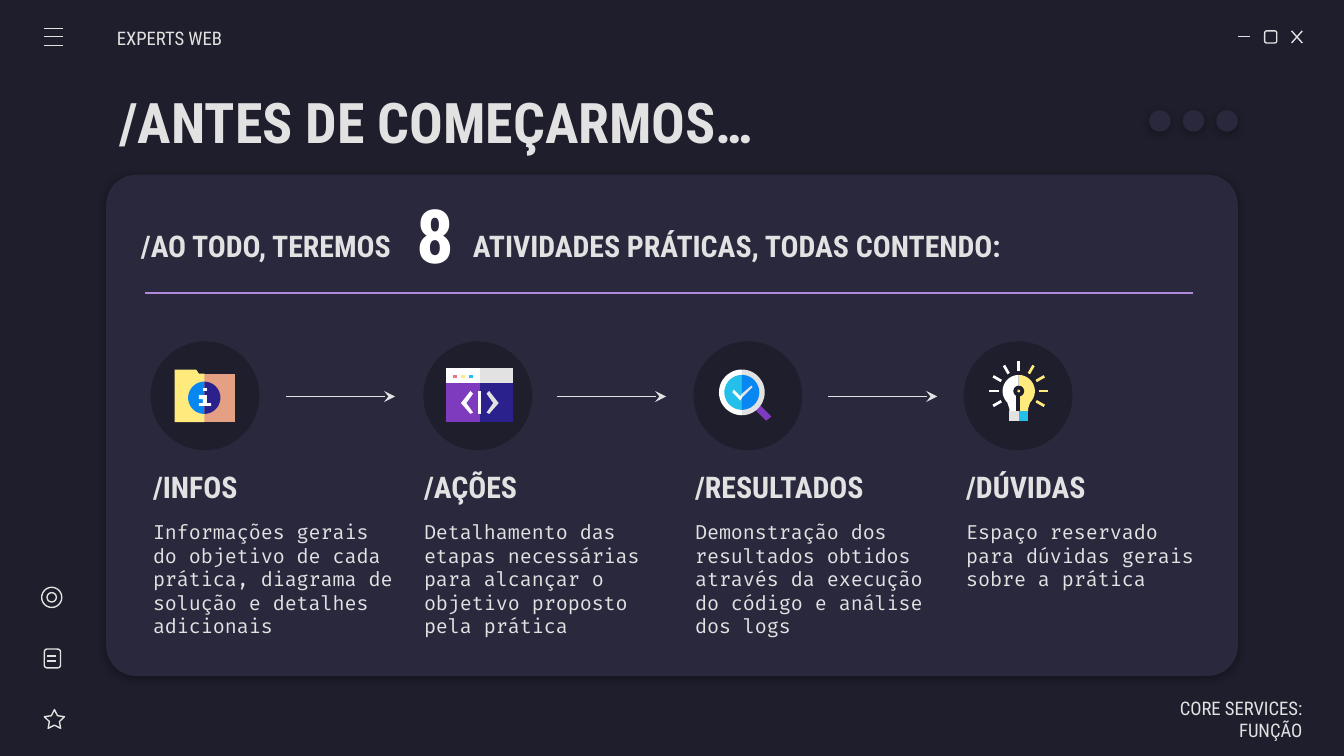
import math

import pptx
import pptx.dml.color
import pptx.enum.shapes
import pptx.enum.text
import pptx.oxml.ns
import pptx.util
from lxml import etree

Inches, Pt = pptx.util.Inches, pptx.util.Pt
RGBColor = pptx.dml.color.RGBColor
SHAPE = pptx.enum.shapes.MSO_SHAPE
ALIGN = pptx.enum.text.PP_ALIGN
ANCHOR = pptx.enum.text.MSO_ANCHOR
qn = pptx.oxml.ns.qn

NIGHT = RGBColor(0x1E, 0x1E, 0x2C)
PANEL = RGBColor(0x29, 0x28, 0x3D)
LIGHT = RGBColor(0xE2, 0xE2, 0xE2)
WHITE = RGBColor(0xFF, 0xFF, 0xFF)
LILAC = RGBColor(0xB2, 0x88, 0xDA)
PURPLE = RGBColor(0x7E, 0x3B, 0xBE)
INDIGO = RGBColor(0x2B, 0x21, 0x8D)
BLUE = RGBColor(0x08, 0x87, 0xF2)
CYAN = RGBColor(0x24, 0xBF, 0xEB)
YELLOW = RGBColor(0xFF, 0xEA, 0x7D)
PEACH = RGBColor(0xE5, 0xA0, 0x83)
PINK = RGBColor(0xE0, 0x7A, 0x88)

HEADING_FONT, BODY_FONT = "Roboto Condensed", "Fira Code"


# Outline helpers for the icons, in inches
def box(left, top, right, bottom):
    return [(left, top), (right, top), (right, bottom), (left, bottom)]


def arc(cx, cy, radius, start, end, steps=24):
    angles = [math.radians(start + (end - start) * i / steps) for i in range(steps + 1)]
    return [(cx + radius * math.cos(a), cy - radius * math.sin(a)) for a in angles]


def ray(cx, cy, inner, outer, half_width, degrees):
    cos, sin = math.cos(math.radians(degrees)), math.sin(math.radians(degrees))
    corners = box(inner, -half_width, outer, half_width)
    return [(cx + x * cos + y * sin, cy - x * sin + y * cos) for x, y in corners]


def two_tone_disc(cx, cy, radius, left_color, right_color):
    return [(left_color, arc(cx, cy, radius, 90, 270)),
            (right_color, arc(cx, cy, radius, 90, -90))]


# Content
TEXTS = [  # text, left, top, width, height, size, bold, colour, align, side insets
    ("/ANTES DE COMEÇARMOS…", 0.79, 0.59, 7.93, 0.63, 30, True, LIGHT, ALIGN.LEFT, (0.1, 0.1)),
    ("/AO TODO, TEREMOS", 0.95, 1.62, 2.31, 0.42, 16, True, LIGHT, ALIGN.LEFT, (0.1, 0.1)),
    ("8", 3, 1.49, 0.46, 0.5, 40, True, WHITE, ALIGN.CENTER, (0.1, 0.1)),
    ("ATIVIDADES PRÁTICAS, TODAS CONTENDO:", 3.42, 1.62, 4.17, 0.42, 16, True, LIGHT,
     ALIGN.LEFT, (0.1, 0.1)),
    ("EXPERTS WEB", 0.87, 0.13, 1.17, 0.3, 10, False, LIGHT, ALIGN.LEFT, (0, 0.1)),
    ("CORE SERVICES: FUNÇÃO", 8.28, 5.2, 1.41, 0.3, 10, False, LIGHT, ALIGN.RIGHT, (0.1, 0)),
]

FOLDER = [
    (PEACH, box(1.52, 2.78, 1.75, 3.14)),
    (YELLOW, [(1.3, 2.75), (1.3, 3.14), (1.52, 3.14), (1.52, 2.78), (1.48, 2.78), (1.46, 2.75)]),
    *two_tone_disc(1.52, 2.96, 0.12, BLUE, INDIGO),
    (WHITE, [(1.48, 2.94), (1.48, 2.97), (1.51, 2.97), (1.51, 3), (1.48, 3), (1.48, 3.02),
             (1.57, 3.02), (1.57, 3), (1.54, 3), (1.54, 2.94)]),
    (WHITE, box(1.51, 2.89, 1.54, 2.91)),
]
CODE_WINDOW = [
    (INDIGO, box(3.57, 2.85, 3.82, 3.14)),
    (PURPLE, box(3.32, 2.85, 3.57, 3.14)),
    (LIGHT, box(3.57, 2.74, 3.82, 2.85)),
    (WHITE, box(3.32, 2.74, 3.57, 2.85)),
    *[(color, box(x, 2.79, x + 0.03, 2.81))
      for color, x in ((PINK, 3.37), (YELLOW, 3.43), (CYAN, 3.49))],
    (WHITE, [(3.5, 2.91), (3.43, 3), (3.5, 3.08), (3.52, 3.07), (3.47, 3), (3.52, 2.93)]),
    (LIGHT, [(3.64, 2.91), (3.62, 2.93), (3.67, 3), (3.62, 3.07), (3.64, 3.08), (3.71, 3)]),
    (WHITE, box(3.56, 2.91, 3.58, 3.08)),
]
MAGNIFIER = [
    (PURPLE, [(5.63, 2.99), (5.59, 3.02), (5.7, 3.13), (5.74, 3.1)]),
    *two_tone_disc(5.52, 2.92, 0.17, WHITE, LIGHT),
    *two_tone_disc(5.52, 2.92, 0.13, CYAN, BLUE),
    (LIGHT, [(5.59, 2.87), (5.52, 2.93), (5.52, 2.96), (5.6, 2.88)]),
    (WHITE, [(5.46, 2.9), (5.45, 2.92), (5.51, 2.98), (5.52, 2.96), (5.52, 2.93), (5.51, 2.95)]),
]
BULB = [
    (YELLOW, arc(7.58, 2.91, 0.12, 90, -45) + [(7.65, 3.04), (7.65, 3.06), (7.58, 3.08)]),
    (WHITE, arc(7.58, 2.91, 0.12, 90, 225) + [(7.51, 3.04), (7.51, 3.06), (7.58, 3.08)]),
    *[(WHITE if angle >= 90 else YELLOW, ray(7.58, 2.91, 0.15, 0.22, 0.01, angle))
      for angle in range(-30, 211, 30)],
    (NIGHT, arc(7.58, 2.91, 0.04, 0, 360)),
    (NIGHT, box(7.56, 2.94, 7.59, 3.08)),
    (YELLOW, arc(7.58, 2.91, 0.01, 0, 360)),
    (CYAN, box(7.58, 3.06, 7.65, 3.13)),
    (LIGHT, box(7.51, 3.06, 7.58, 3.13)),
]

STEPS = [  # heading, description, disc left, icon
    ("/INFOS", "Informações gerais do objetivo de cada prática, diagrama de solução e detalhes "
     "adicionais", 1.12, FOLDER),
    ("/AÇÕES", "Detalhamento das etapas necessárias para alcançar o objetivo proposto pela "
     "prática", 3.15, CODE_WINDOW),
    ("/RESULTADOS", "Demonstração dos resultados obtidos através da execução do código e "
     "análise dos logs", 5.16, MAGNIFIER),
    ("/DÚVIDAS", "Espaço reservado para dúvidas gerais sobre a prática", 7.17, BULB),
]

STROKES = [  # window buttons, menu bars, note lines
    (9.21, 0.27, 9.3, 0.27), (9.61, 0.23, 9.69, 0.32), (9.69, 0.23, 9.61, 0.32),
    *[(0.33, y, 0.47, y) for y in (0.21, 0.27, 0.34)],
    *[(0.35, y, 0.42, y) for y in (4.88, 4.92)],
]
OUTLINES = [  # maximise button, star, note, ring
    (SHAPE.ROUNDED_RECTANGLE, 9.41, 0.23, 0.09, 0.09),
    (SHAPE.STAR_5_POINT, 0.33, 5.28, 0.15, 0.14),
    (SHAPE.ROUNDED_RECTANGLE, 0.33, 4.83, 0.12, 0.14),
    (SHAPE.OVAL, 0.31, 4.37, 0.15, 0.15),
    (SHAPE.OVAL, 0.35, 4.41, 0.07, 0.07),
]

deck = pptx.Presentation()
deck.slide_width = Inches(10)
deck.slide_height = Inches(10 * 9 / 16)  # 16:9
slide = deck.slides.add_slide(deck.slide_layouts[6])
slide.background.fill.solid()
slide.background.fill.fore_color.rgb = NIGHT


def paint(shape, fill=None, line=None):
    shape.shadow.inherit = False
    if fill is None:
        shape.fill.background()
    else:
        shape.fill.solid()
        shape.fill.fore_color.rgb = fill
    if line is None:
        shape.line.fill.background()
    else:
        shape.line.color.rgb = line
        shape.line.width = Pt(0.75)


def add_shape(kind, left, top, width, height, fill=None, line=None, shadow=False):
    shape = slide.shapes.add_shape(kind, *map(Inches, (left, top, width, height)))
    paint(shape, fill, line)
    if shadow:
        effects = shape._element.spPr.find(qn("a:effectLst"))
        outer = etree.SubElement(effects, qn("a:outerShdw"), blurRad=str(Pt(4.5)),
                                 dist=str(Pt(1.5)), dir="5400000", algn="bl", rotWithShape="0")
        black = etree.SubElement(outer, qn("a:srgbClr"), val="000000")
        etree.SubElement(black, qn("a:alpha"), val="30000")
    return shape


def add_line(x1, y1, x2, y2, color=LIGHT, arrow=False):
    line = slide.shapes.add_connector(pptx.enum.shapes.MSO_CONNECTOR.STRAIGHT,
                                      *map(Inches, (x1, y1, x2, y2)))
    line.line.color.rgb = color
    line.line.width = Pt(0.75)
    if arrow:
        etree.SubElement(line.line._get_or_add_ln(), qn("a:tailEnd"), type="stealth")
    etree.SubElement(line._element.spPr, qn("a:effectLst"))


def add_text(text, left, top, width, height, size, bold=False, color=LIGHT, align=ALIGN.LEFT,
             insets=(0.1, 0.1), font=HEADING_FONT, anchor=ANCHOR.MIDDLE):
    frame = slide.shapes.add_textbox(*map(Inches, (left, top, width, height))).text_frame
    frame.word_wrap = True
    frame.vertical_anchor = anchor
    frame.margin_left, frame.margin_right = map(Inches, insets)
    frame.margin_top = frame.margin_bottom = Inches(0.1)
    paragraph = frame.paragraphs[0]
    paragraph.text = text
    paragraph.alignment = align
    paragraph.font.name, paragraph.font.size = font, Pt(size)
    paragraph.font.bold = bold
    paragraph.font.color.rgb = color


# Panel, its dots and its rule
panel = add_shape(SHAPE.ROUNDED_RECTANGLE, 0.79, 1.3, 8.42, 3.73, PANEL, shadow=True)
panel.adjustments[0] = 0.06
for dot in range(3):
    add_shape(SHAPE.OVAL, 8.55 + 0.25 * dot, 0.82, 0.16, 0.16, PANEL, shadow=True)
add_line(1.08, 2.18, 8.88, 2.18, LILAC)

# Steps: disc, icon, heading, description, arrow to the next
for index, (heading, description, disc_left, icon) in enumerate(STEPS):
    add_shape(SHAPE.OVAL, disc_left, 2.54, 0.81, 0.81, NIGHT)
    for color, points in icon:
        corners = [(Inches(x), Inches(y)) for x, y in points]
        builder = slide.shapes.build_freeform(*corners[0], scale=1.0)
        builder.add_line_segments(corners[1:], close=True)
        paint(builder.convert_to_shape(), color)
    offset = index * 6.05 / 3
    add_text(heading, 1.04 + offset, 3.37, 2.02, 0.5, 16, bold=True)
    add_text(description, 1.04 + offset, 3.77, 2.02, 1.08, 10.5, font=BODY_FONT,
             anchor=ANCHOR.TOP)
    if index < len(STEPS) - 1:
        add_line(2.13 + offset, 2.95, 2.94 + offset, 2.95, arrow=True)

# Title, sentence, header and footer
for text in TEXTS:
    add_text(*text)

# Window decorations
for stroke in STROKES:
    add_line(*stroke)
for outline in OUTLINES:
    symbol = add_shape(*outline, line=LIGHT)
    if outline[0] == SHAPE.STAR_5_POINT:
        symbol.adjustments[0] = 0.25

deck.save("out.pptx")
